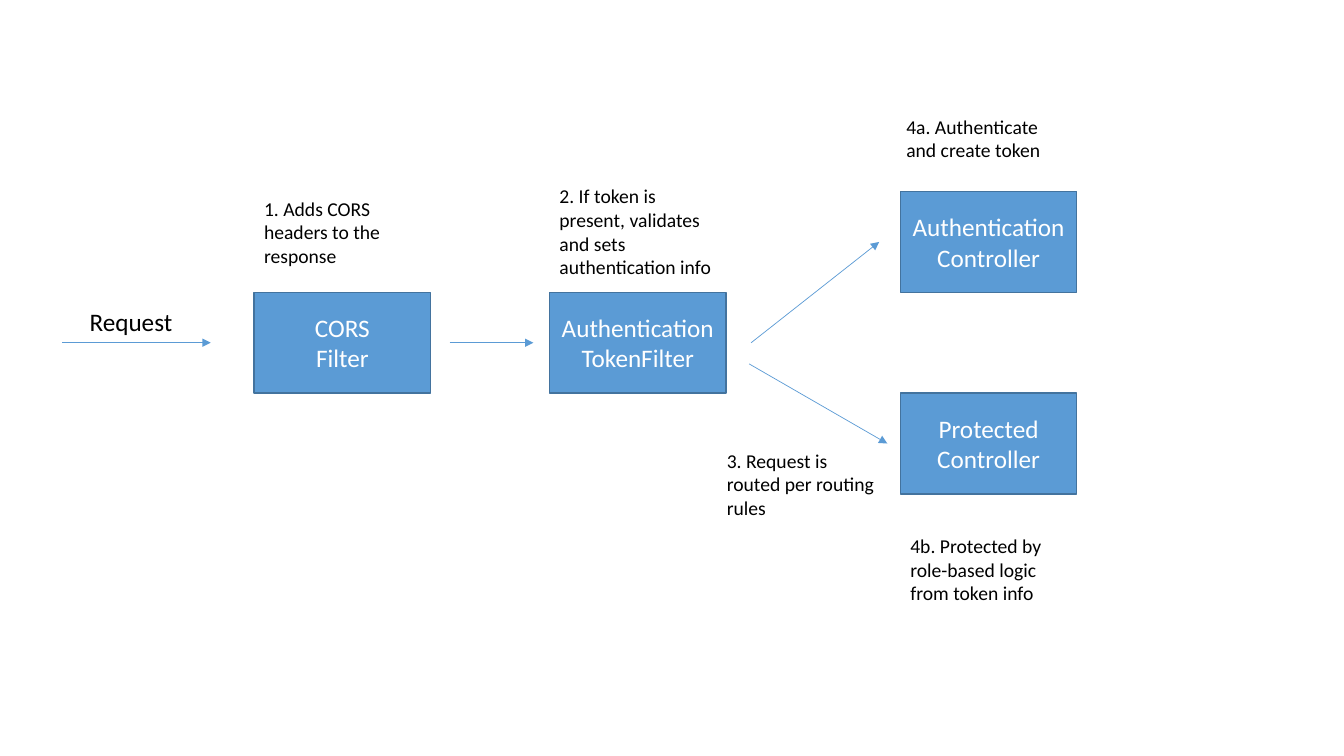
import dataclasses

import pptx
import pptx.dml.color
import pptx.enum.shapes
import pptx.enum.text
import pptx.oxml.ns
import pptx.util
from lxml import etree

RGBColor = pptx.dml.color.RGBColor
BLUE = RGBColor(0x5B, 0x9B, 0xD5)
EDGE = RGBColor(0x43, 0x73, 0x9E)
WHITE = RGBColor(0xFF, 0xFF, 0xFF)
BLACK = RGBColor(0x00, 0x00, 0x00)
FONT = "Calibri"

# Grid: one-inch columns from the left edge, one-inch rows from the top box.
TOP = 1.9
CORS, TOKEN, CONTROL = 2.52, 5.45, 8.93
WIDE = 1.75
FLOW = 1.5  # row of the main arrows, halfway down the middle boxes


@dataclasses.dataclass(frozen=True)
class Box:
    col: float
    row: float
    lines: tuple[str, str]


@dataclasses.dataclass(frozen=True)
class Note:
    col: float
    row: float
    high: float
    text: str
    wide: float = WIDE
    size: int = 14
    wrap: bool = True


@dataclasses.dataclass(frozen=True)
class Arrow:
    start: tuple[float, float]
    end: tuple[float, float]


BOXES = (
    Box(CORS, 1, ("CORS", "Filter")),
    Box(TOKEN, 1, ("Authentication", "TokenFilter")),
    Box(CONTROL, 0, ("Authentication", "Controller")),
    Box(CONTROL, 2, ("Protected", "Controller")),
)
ARROWS = (
    Arrow((0.62, FLOW), (2.09, FLOW)),
    Arrow((4.46, FLOW), (5.29, FLOW)),
    Arrow((7.45, FLOW), (8.72, 0.5)),
    Arrow((7.43, 1.71), (8.8, 2.5)),
)
NOTES = (
    Note(0.79, 1.09, 0.4, "Request", wide=1.03, size=18, wrap=False),
    Note(CORS, 0, 0.81, "1. Adds CORS headers to the response"),
    Note(TOKEN, -0.12, 1.04,
         "2. If token is present, validates and sets authentication info"),
    Note(7.11, 2.5, 0.81, "3. Request is routed per routing rules"),
    Note(8.89, -0.81, 0.57, "4a. Authenticate and create token"),
    Note(CONTROL, 3.35, 0.81,
         "4b. Protected by role-based logic from token info"),
)


def place(col: float, row: float) -> tuple[int, int]:
    """Turn a grid position into slide coordinates."""
    return pptx.util.Inches(col), pptx.util.Inches(TOP + row)


def add_run(para, text: str, size: int, color: RGBColor) -> None:
    run = para.add_run()
    run.text = text
    run.font.name = FONT
    run.font.size = pptx.util.Pt(size)
    run.font.color.rgb = color


def draw_box(slide, box: Box) -> None:
    shape = slide.shapes.add_shape(
        pptx.enum.shapes.MSO_SHAPE.RECTANGLE, *place(box.col, box.row),
        pptx.util.Inches(WIDE), pptx.util.Inches(1))
    shape.shadow.inherit = False
    shape.fill.solid()
    shape.fill.fore_color.rgb = BLUE
    shape.line.color.rgb = EDGE
    shape.line.width = pptx.util.Pt(1)
    frame = shape.text_frame
    frame.vertical_anchor = pptx.enum.text.MSO_ANCHOR.MIDDLE
    for i, line in enumerate(box.lines):
        para = frame.add_paragraph() if i else frame.paragraphs[0]
        para.alignment = pptx.enum.text.PP_ALIGN.CENTER
        add_run(para, line, 18, WHITE)


def draw_note(slide, note: Note) -> None:
    shape = slide.shapes.add_textbox(
        *place(note.col, note.row),
        pptx.util.Inches(note.wide), pptx.util.Inches(note.high))
    frame = shape.text_frame
    frame.word_wrap = note.wrap
    frame.auto_size = pptx.enum.text.MSO_AUTO_SIZE.SHAPE_TO_FIT_TEXT
    add_run(frame.paragraphs[0], note.text, note.size, BLACK)


def draw_arrow(slide, arrow: Arrow) -> None:
    link = slide.shapes.add_connector(
        pptx.enum.shapes.MSO_CONNECTOR.STRAIGHT,
        *place(*arrow.start), *place(*arrow.end))
    link.line.color.rgb = BLUE
    link.line.width = pptx.util.Pt(0.5)
    qn = pptx.oxml.ns.qn
    etree.SubElement(link.line._get_or_add_ln(), qn("a:tailEnd"), type="triangle")
    etree.SubElement(link._element.spPr, qn("a:effectLst"))


def main() -> None:
    deck = pptx.Presentation()
    deck.slide_width = pptx.util.Inches(13.33)
    deck.slide_height = pptx.util.Inches(7.5)
    slide = deck.slides.add_slide(deck.slide_layouts[6])
    for box in BOXES:
        draw_box(slide, box)
    for arrow in ARROWS:
        draw_arrow(slide, arrow)
    for note in NOTES:
        draw_note(slide, note)
    deck.save("out.pptx")


if __name__ == "__main__":
    main()
